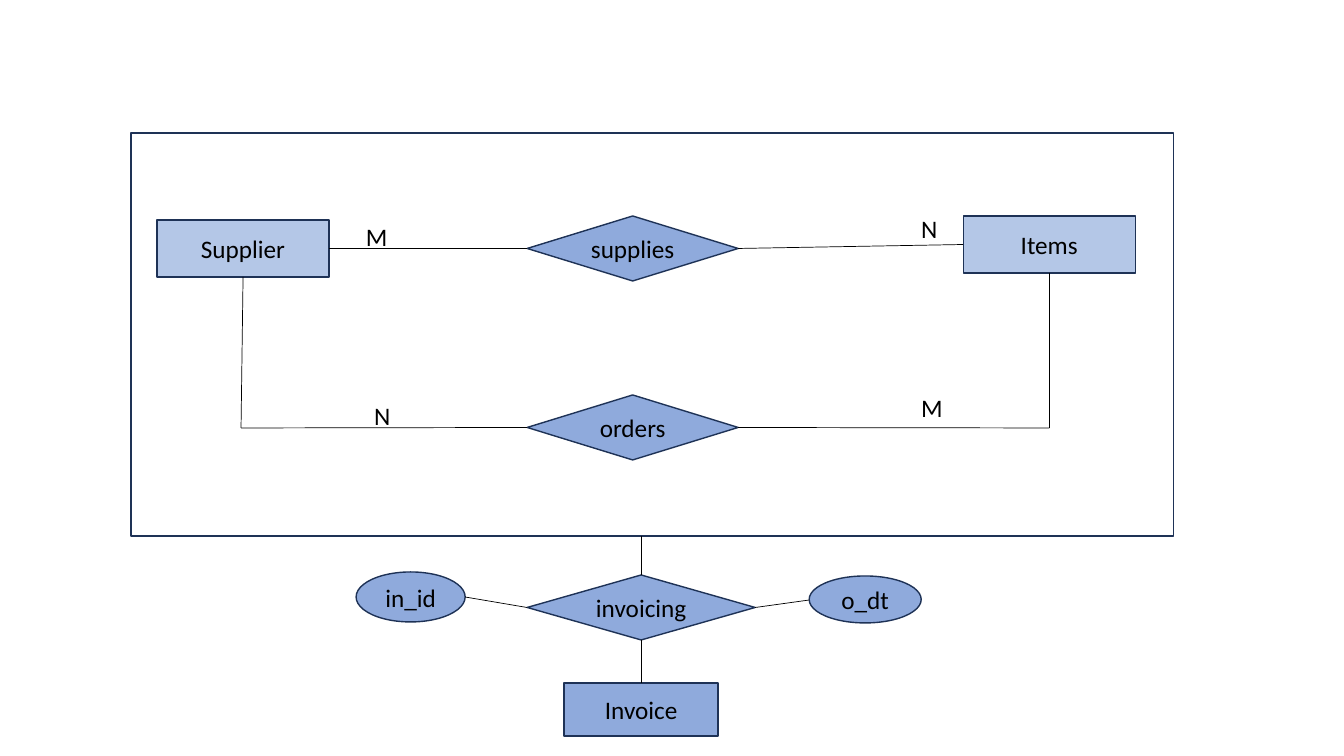
from lxml import etree
from pptx import Presentation
from pptx.dml.color import RGBColor
from pptx.enum.shapes import MSO_CONNECTOR, MSO_SHAPE
from pptx.enum.text import MSO_ANCHOR, MSO_AUTO_SIZE, PP_ALIGN
from pptx.oxml.ns import qn
from pptx.util import Inches, Pt

RECT, DIAMOND, OVAL = MSO_SHAPE.RECTANGLE, MSO_SHAPE.DIAMOND, MSO_SHAPE.OVAL
STRAIGHT = MSO_CONNECTOR.STRAIGHT
MIDDLE, CENTER = MSO_ANCHOR.MIDDLE, PP_ALIGN.CENTER
GROW = MSO_AUTO_SIZE.SHAPE_TO_FIT_TEXT
TOP, LEFT, BOTTOM, RIGHT = range(4)  # connection sites of rectangles and diamonds

BLACK = RGBColor(0x00, 0x00, 0x00)
NAVY = RGBColor(0x1E, 0x32, 0x56)
BLUE = RGBColor(0x8F, 0xAA, 0xDC)
PALE = RGBColor(0xB4, 0xC7, 0xE7)


def px(*lengths):
    return [round(n * 914400 / 100.8) for n in lengths]


class Diagram:
    font, size = "Calibri", Pt(18)

    def __init__(self, slide):
        self.shapes = slide.shapes

    def set_text(self, tf, text):
        p = tf.paragraphs[0]
        p.text = text
        p.font.name, p.font.size = self.font, self.size
        p.font.color.rgb = BLACK
        return p

    def node(self, kind, x, y, w, h, text=None, fill=None):
        sp = self.shapes.add_shape(kind, *px(x, y, w, h))
        sp.shadow.inherit = False
        sp.line.color.rgb, sp.line.width = NAVY, Pt(1)
        if fill is None:
            sp.fill.background()
        else:
            sp.fill.solid()
            sp.fill.fore_color.rgb = fill
        if text:
            tf = sp.text_frame
            tf.vertical_anchor = MIDDLE
            self.set_text(tf, text).alignment = CENTER
        return sp

    def label(self, x, y, w, text):
        tf = self.shapes.add_textbox(*px(x, y, w, 40)).text_frame
        tf.word_wrap = False
        tf.auto_size = GROW
        self.set_text(tf, text)

    def link(self, start, end):
        """Each end is (shape, site) or a point (x, y)."""
        c = self.shapes.add_connector(STRAIGHT, 0, 0, 0, 0)
        if isinstance(start[0], int):
            c.begin_x, c.begin_y = px(*start)
        else:
            c.begin_connect(*start)
        if isinstance(end[0], int):
            c.end_x, c.end_y = px(*end)
        else:
            c.end_connect(*end)
        c.line.color.rgb, c.line.width = BLACK, Pt(0.5)
        etree.SubElement(c._element.spPr, qn("a:effectLst"))


prs = Presentation()
prs.slide_width, prs.slide_height = Inches(13.33), Inches(7.5)
d = Diagram(prs.slides.add_slide(prs.slide_layouts[6]))

# Aggregation frame with its entities and relationships
d.node(RECT, 131, 133, 1042, 403)
supplier = d.node(RECT, 157, 220, 172, 57, "Supplier", PALE)
items = d.node(RECT, 963, 216, 172, 57, "Items", PALE)
supplies = d.node(DIAMOND, 527, 216, 211, 65, "supplies", BLUE)
orders = d.node(DIAMOND, 527, 395, 211, 65, "orders", BLUE)

# Invoicing relationship, attributes and entity
invoicing = d.node(DIAMOND, 527, 575, 228, 65, "invoicing", BLUE)
invoice = d.node(RECT, 564, 683, 154, 53, "Invoice", BLUE)
d.node(OVAL, 356, 572, 109, 50, "in_id", BLUE)
d.node(OVAL, 809, 576, 112, 47, "o_dt", BLUE)

# Links, the orders relationship turning at two corners
supplier_corner, items_corner = (241, 428), (1049, 428)
for start, end in [
    ((supplier, RIGHT), (supplies, LEFT)),
    ((supplies, RIGHT), (items, LEFT)),
    ((supplier, BOTTOM), supplier_corner),
    ((orders, LEFT), supplier_corner),
    ((orders, RIGHT), items_corner),
    ((items, BOTTOM), items_corner),
    ((invoicing, TOP), (641, 536)),
    ((invoicing, BOTTOM), (invoice, TOP)),
    ((465, 597), (invoicing, LEFT)),
    ((invoicing, RIGHT), (809, 600)),
]:
    d.link(start, end)

# Cardinalities
for x, y, w, text in [(356, 216, 42, "M"), (911, 208, 36, "N"),
                      (911, 387, 42, "M"), (364, 395, 36, "N")]:
    d.label(x, y, w, text)

prs.save("out.pptx")
